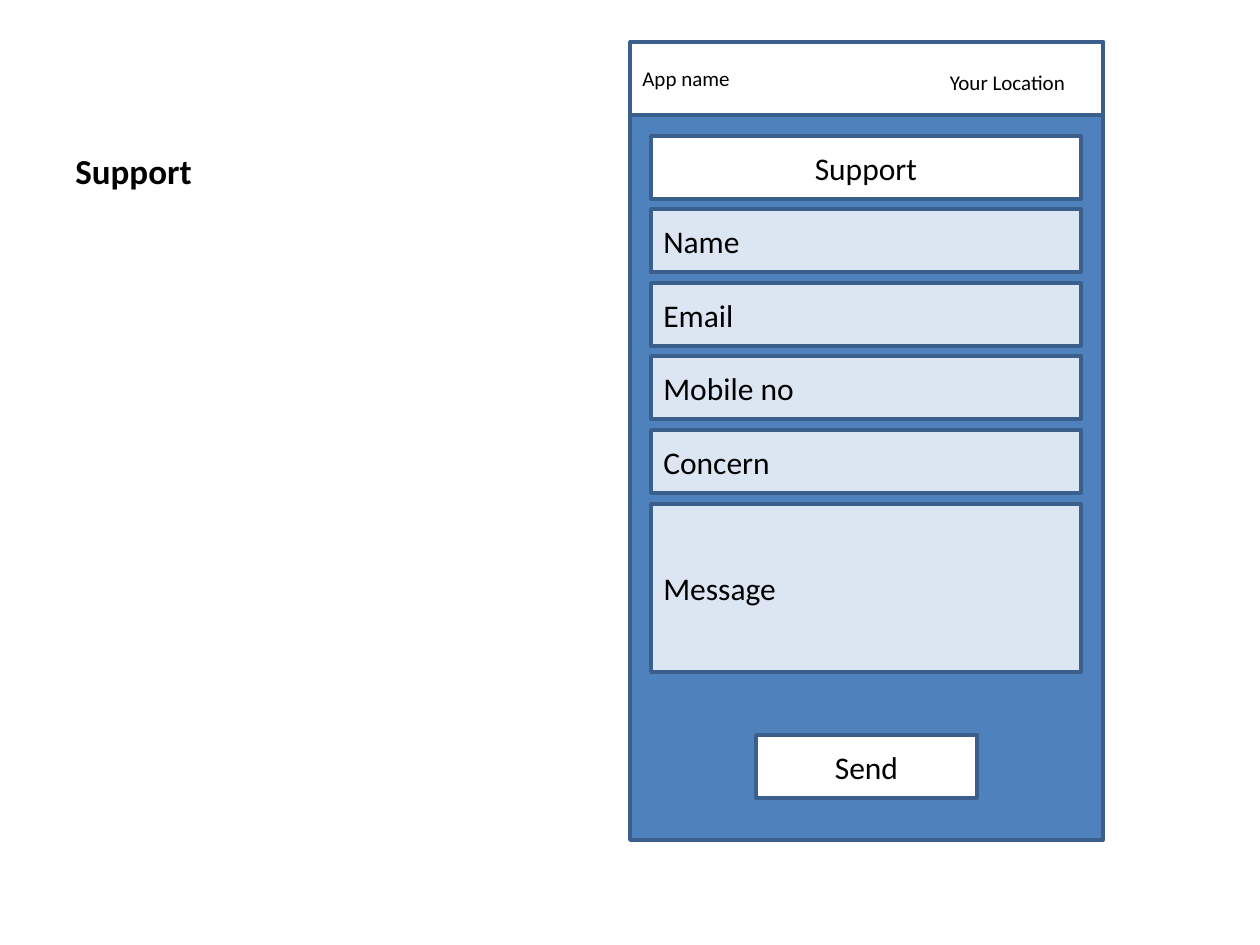
from pptx import Presentation
from pptx import util as u
from pptx.dml.color import RGBColor
from pptx.enum import shapes, text

SCALE = u.Inches(1) / 126
BLACK = RGBColor(0x00, 0x00, 0x00)
WHITE = RGBColor(0xFF, 0xFF, 0xFF)
BLUE = RGBColor(0x4F, 0x81, 0xBD)
PALE = RGBColor(0xDC, 0xE6, 0xF2)
EDGE = RGBColor(0x3A, 0x5F, 0x8C)
LEFT, CENTER, RIGHT = text.PP_ALIGN.LEFT, text.PP_ALIGN.CENTER, text.PP_ALIGN.RIGHT
MIDDLE, TOP, BOTTOM = text.MSO_ANCHOR.MIDDLE, text.MSO_ANCHOR.TOP, text.MSO_ANCHOR.BOTTOM


def emu(box):
    """Turn a box in pixels into EMU."""
    return [round(length * SCALE) for length in box]


def write(shape, words, size, align=LEFT, anchor=MIDDLE, bold=False):
    """Put one line of text into a shape."""
    frame = shape.text_frame
    frame.word_wrap = True
    frame.vertical_anchor = anchor
    para = frame.paragraphs[0]
    para.alignment = align
    span = para.add_run()
    span.text = words
    formats = {"name": "Calibri", "size": u.Pt(size), "bold": bold}
    for name, value in formats.items():
        setattr(span.font, name, value)
    span.font.color.rgb = BLACK


def panel(page, box, fill, words="", size=18, align=LEFT):
    """Draw an outlined rectangle, with a label if one is given."""
    shape = page.shapes.add_shape(shapes.MSO_SHAPE.RECTANGLE, *emu(box))
    shape.shadow.inherit = False
    shape.fill.solid()
    shape.fill.fore_color.rgb = fill
    shape.line.color.rgb = EDGE
    shape.line.width = u.Pt(2)
    if words:
        write(shape, words, size, align)


def label(page, box, words, size, **formats):
    """Place free text in a box."""
    write(page.shapes.add_textbox(*emu(box)), words, size, **formats)


def header(page, box):
    """Draw the app bar with its name and location."""
    left, top, width, height = box
    panel(page, box, WHITE, "App name", 12)
    label(page, (left + width - 189, top + 21, 168, 38), "Your Location ", 12,
          align=RIGHT, anchor=TOP)


def form(page, box):
    """Stack the heading and the fields at an equal pitch."""
    left, top, width, height = box
    rows = [("Support", WHITE, CENTER, 63)]
    rows += [(name, PALE, LEFT, 63) for name in ("Name", "Email", "Mobile no", "Concern")]
    rows.append(("Message", PALE, LEFT, 168))
    reach = height - rows[-1][3]
    for index, (words, fill, align, tall) in enumerate(rows):
        row_top = top + index * reach // (len(rows) - 1)
        panel(page, (left, row_top, width, tall), fill, words, align=align)


def phone(page, box):
    """Draw the app screen: body, header, form and button."""
    left, top, width, height = box
    panel(page, box, BLUE)
    header(page, (left, top, width, 73))
    form(page, (left + 21, top + 94, width - 43, 536))
    panel(page, (left + 126, top + 693, 221, 63), WHITE, "Send", align=CENTER)


deck = Presentation()
deck.slide_width, deck.slide_height = u.Inches(10), u.Inches(7.5)
page = deck.slides.add_slide(deck.slide_layouts[6])
label(page, (63, 38, 415, 160), "Support", 20, anchor=BOTTOM, bold=True)
phone(page, (630, 42, 473, 798))
deck.save("out.pptx")
